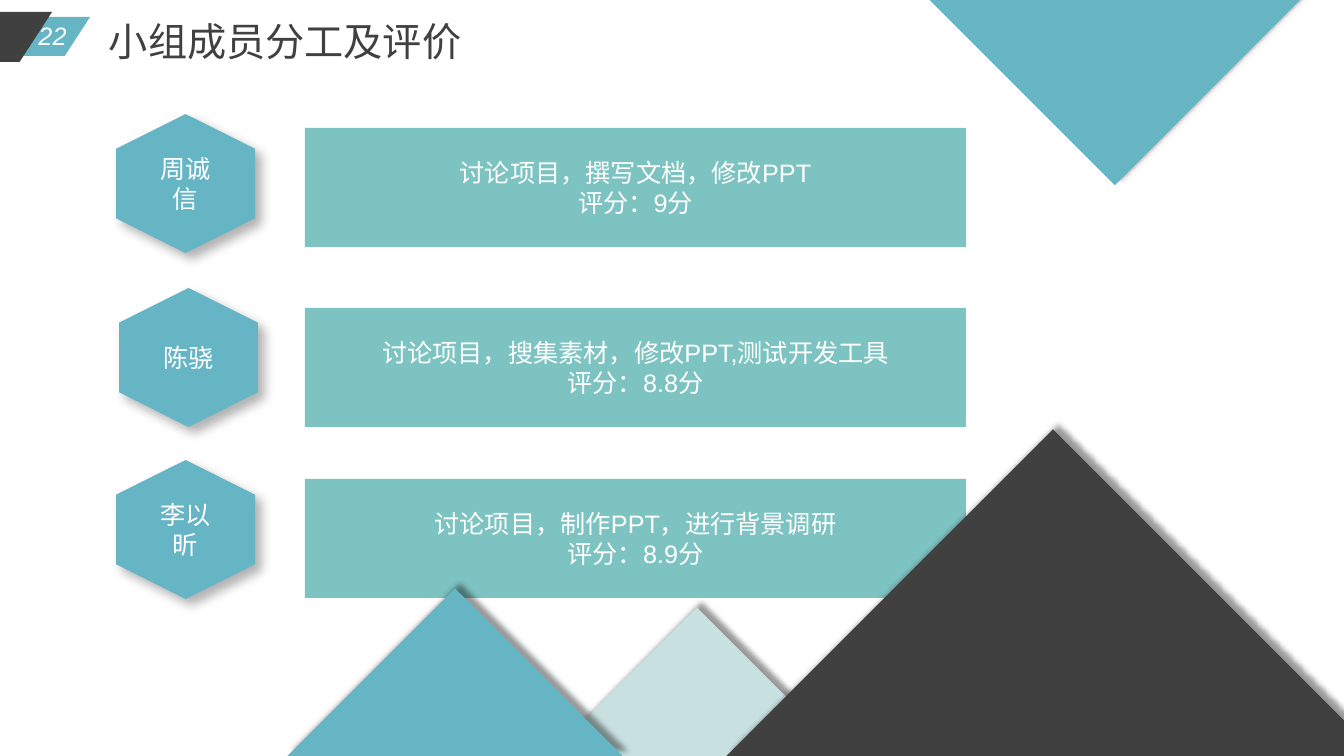
from lxml import etree
from pptx import Presentation
from pptx.dml.color import RGBColor
from pptx.enum.shapes import MSO_SHAPE
from pptx.enum.text import MSO_ANCHOR, MSO_AUTO_SIZE, PP_ALIGN
from pptx.oxml.ns import qn
from pptx.util import Emu, Pt

PX = 914400 / 100.8
HEXAGON, RECT = MSO_SHAPE.HEXAGON, MSO_SHAPE.RECTANGLE
TRIANGLE, PARALLELOGRAM = MSO_SHAPE.RIGHT_TRIANGLE, MSO_SHAPE.PARALLELOGRAM
CENTER, LEFT = PP_ALIGN.CENTER, PP_ALIGN.LEFT
MIDDLE = MSO_ANCHOR.MIDDLE
FIT_SHAPE = MSO_AUTO_SIZE.SHAPE_TO_FIT_TEXT
CJK = "Noto Sans CJK SC"
COLORS = {"blue": "66B5C4", "teal": "7DC3C1", "pale": "C8E0E0",
          "dark": "404040", "white": "FFFFFF", "black": "000000"}

prs = Presentation()
prs.slide_width, prs.slide_height = Emu(round(1344 * PX)), Emu(round(756 * PX))
s = prs.slides.add_slide(prs.slide_layouts[6])


def add_shape(kind, box, color, rotation=0, shadow=None):
    """Add a borderless shape; shadow is (alpha %, blur pt, distance pt, angle)."""
    sp = s.shapes.add_shape(kind, *[Emu(round(v * PX)) for v in box])
    sp.rotation = rotation
    sp.fill.solid()
    sp.fill.fore_color.rgb = RGBColor.from_string(COLORS[color])
    sp.line.fill.background()
    sp.shadow.inherit = False
    if shadow:
        alpha, blur, dist, angle = shadow
        effects = sp.element.spPr.find(qn("a:effectLst"))
        outer = etree.SubElement(effects, qn("a:outerShdw"), blurRad=str(Pt(blur)),
                                 dist=str(Pt(dist)), dir=str(angle * 60000),
                                 algn="ctr", rotWithShape="0")
        clr = etree.SubElement(outer, qn("a:srgbClr"), val=COLORS["black"])
        etree.SubElement(clr, qn("a:alpha"), val=str(alpha * 1000))
    return sp


def set_text(sp, text, size, font, color="white", align=CENTER, italic=False):
    """Write text into a shape and format every run."""
    tf = sp.text_frame
    tf.text = text
    for p in tf.paragraphs:
        p.alignment = align
        for r in p.runs:
            r.font.size = Pt(size)
            r.font.italic = italic
            r.font.color.rgb = RGBColor.from_string(COLORS[color])
            r.font.name = font
            latin = r.font._element.find(qn("a:latin"))
            latin.addnext(etree.Element(qn("a:ea"), typeface=CJK))
    return tf


# Page number tab
for box, color in [((-111, 17, 201, 39), "blue"), ((-210, 12, 262, 50), "dark")]:
    sp = add_shape(PARALLELOGRAM, box, color, 180)
    sp.adjustments[0] = 0.65

# Page number and title
for box, text, size, font, color, align, italic in [
    ((27, 15, 51, 40), "22", 18, "Arial", "white", CENTER, True),
    ((99, 12, 377, 57), "小组成员分工及评价", 28, CJK, "dark", LEFT, False),
]:
    sp = s.shapes.add_textbox(*[Emu(round(v * PX)) for v in box])
    tf = set_text(sp, text, size, font, color, align, italic)
    tf.word_wrap = False
    tf.auto_size = FIT_SHAPE

# Members: name hexagon, then work and score
members = [
    ("周诚信", "Arial", 116, 114, 128, "讨论项目，撰写文档，修改PPT", "9"),
    ("陈骁", "Calibri", 119, 288, 308, "讨论项目，搜集素材，修改PPT,测试开发工具", "8.8"),
    ("李以昕", "Calibri", 116, 460, 479, "讨论项目，制作PPT，进行背景调研", "8.9"),
]
for name, font, hex_x, hex_y, bar_y, work, score in members:
    sp = add_shape(HEXAGON, (hex_x, hex_y, 139, 139), "blue", 90, (30, 8, 6, 45))
    tf = set_text(sp, name, 18, font)
    tf.vertical_anchor = MIDDLE
    tf._txBody.bodyPr.set("vert", "vert270")

    sp = add_shape(RECT, (305, bar_y, 661, 119), "teal")
    tf = set_text(sp, f"{work}\n评分：{score}分", 18, "Arial")
    tf.vertical_anchor = MIDDLE

# Corner and bottom triangles: centre x, centre y, leg
for cx, cy, leg, color, rotation in [
    (697, 756, 210, "pale", 135),
    (455, 756, 237, "blue", 135),
    (1053, 756, 462, "dark", 135),
    (1115, 0, 262, "blue", 315),
]:
    add_shape(TRIANGLE, (cx - leg / 2, cy - leg / 2, leg, leg), color, rotation,
              (40, 4, 5, 315))

prs.save("out.pptx")
